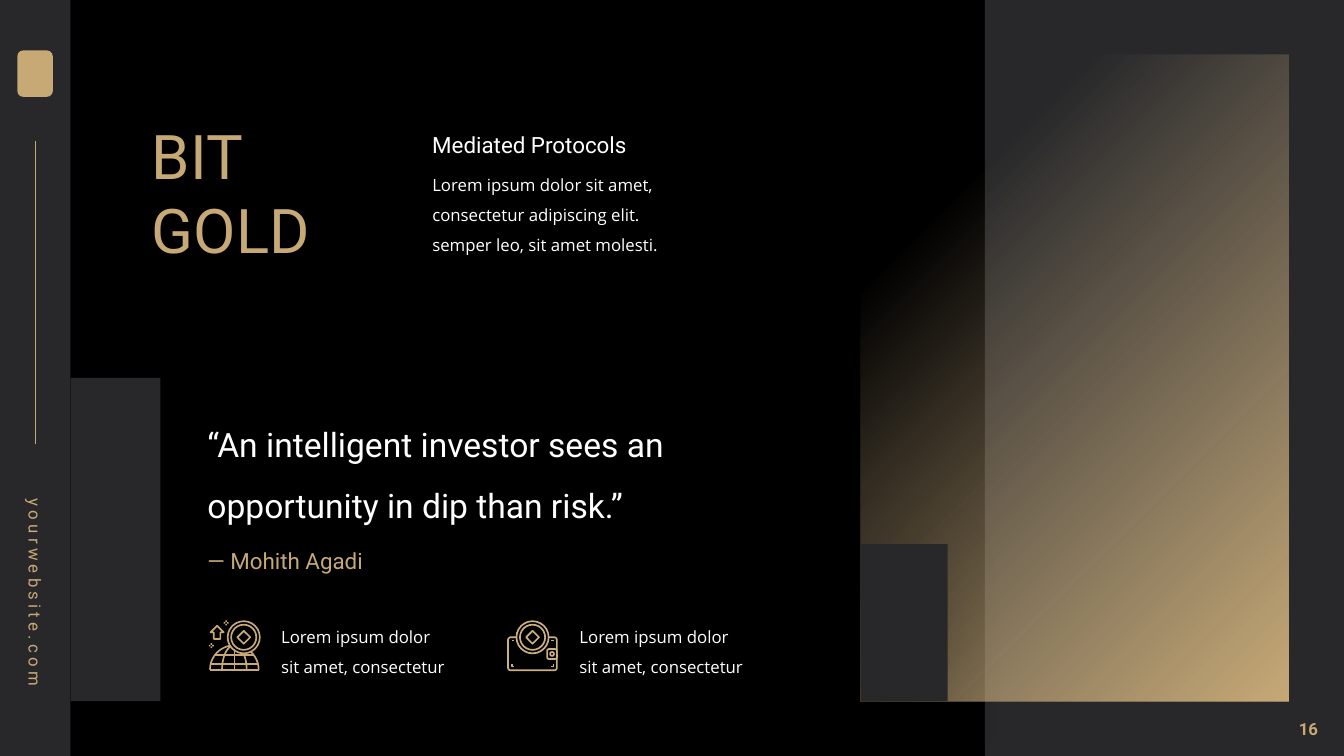
from math import cos, pi, sin, sqrt

from pptx import Presentation
from pptx.dml.color import RGBColor
from pptx.enum.shapes import MSO_CONNECTOR, MSO_SHAPE
from pptx.enum.text import MSO_ANCHOR, PP_ALIGN
from pptx.oxml import parse_xml
from pptx.oxml.ns import nsdecls, qn
from pptx.oxml.xmlchemy import OxmlElement
from pptx.util import Pt

GOLD = RGBColor(0xC7, 0xA9, 0x76)
WALLET_GOLD = RGBColor(0xCC, 0xB0, 0x82)
CHARCOAL = RGBColor(0x28, 0x28, 0x2A)
BLACK = RGBColor(0, 0, 0)
WHITE = RGBColor(0xFF, 0xFF, 0xFF)
RECTANGLE, ROUNDED = MSO_SHAPE.RECTANGLE, MSO_SHAPE.ROUNDED_RECTANGLE
OVAL, DIAMOND, UP_ARROW = MSO_SHAPE.OVAL, MSO_SHAPE.DIAMOND, MSO_SHAPE.UP_ARROW
STRAIGHT = MSO_CONNECTOR.STRAIGHT
LEFT, CENTER = PP_ALIGN.LEFT, PP_ALIGN.CENTER
TOP, MIDDLE = MSO_ANCHOR.TOP, MSO_ANCHOR.MIDDLE
STROKE = 1.2

deck = Presentation()
deck.slide_width, deck.slide_height = Pt(960), Pt(540)
page = deck.slides.add_slide(deck.slide_layouts[6])
page.background.fill.solid()
page.background.fill.fore_color.rgb = BLACK


def add_panel(kind, left, top, width, height, fill=None, line=None):
    panel = page.shapes.add_shape(kind, Pt(left), Pt(top), Pt(width), Pt(height))
    panel.shadow.inherit = False
    if fill is None:
        panel.fill.background()
    else:
        panel.fill.solid()
        panel.fill.fore_color.rgb = fill
    if line is None:
        panel.line.fill.background()
    else:
        panel.line.color.rgb = line
        panel.line.width = Pt(STROKE)
    return panel


def add_text(frame, paragraphs, size, color, font="Roboto", spacing=1.0,
             align=LEFT, anchor=TOP, bold=False):
    box = page.shapes.add_textbox(*[Pt(length) for length in frame])
    box.text_frame.word_wrap = True
    box.text_frame.vertical_anchor = anchor
    for index, lines in enumerate(paragraphs):
        para = box.text_frame.paragraphs[0] if index == 0 else box.text_frame.add_paragraph()
        para.line_spacing = spacing
        para.alignment = align
        for number, line in enumerate(lines):
            if number:
                para.add_line_break()
            span = para.add_run()
            span.text = line
            span.font.name = font
            span.font.size = Pt(size)
            span.font.bold = bold
            span.font.color.rgb = color
    return box


add_panel(RECTANGLE, 0, 0, 50.4, 540, CHARCOAL)
add_panel(ROUNDED, 12.4, 36, 25.4, 33.2, GOLD)
website = add_text((-59.8, 423.4, 169.9, 21.6), [["yourwebsite.com"]], 12, GOLD)
website.rotation = 90
website.text_frame.paragraphs[0].runs[0].font._element.set("spc", "300")

add_panel(RECTANGLE, 703.5, 0, 256.5, 540, CHARCOAL)
add_panel(RECTANGLE, 50.4, 270, 64.3, 230.8, CHARCOAL)
add_text((101.5, 80.6, 153.4, 113.8), [["BIT"], ["GOLD"]], 44, GOLD)
add_text((301.7, 113.8, 238.3, 70.6),
         [["Lorem ipsum dolor sit amet, consectetur adipiscing elit.",
           "semper leo, sit amet molesti."]], 12, WHITE, "Open Sans", 1.5)
add_text((301.7, 90, 197.3, 26.6), [["Mediated Protocols"]], 16, WHITE)
add_text((141.1, 285.1, 443.5, 88.6),
         [["“An intelligent investor sees an opportunity in dip than risk.”"]],
         24, WHITE, spacing=1.5)
add_text((141.1, 387.4, 156.2, 26.6), [["― Mohith Agadi"]], 16, GOLD)
for caption_left in (193.7, 406.8):
    add_text((caption_left, 437, 133.2, 48.2),
             [["Lorem ipsum dolor sit amet, consectetur"]],
             12, WHITE, "Open Sans", 1.5)

globe_x, globe_base, globe_radius = 167.4, 478.4, 17.4
straight_lines = [
    (25.2, 100.8, 25.2, 317.5, GOLD, 1),
    (globe_x, globe_base - globe_radius, globe_x, globe_base, GOLD, STROKE),
]
for rise in (0, 4.2, 10.6):
    half = sqrt(globe_radius ** 2 - rise ** 2)
    straight_lines.append((globe_x - half, globe_base - rise,
                           globe_x + half, globe_base - rise, GOLD, STROKE))

curves = []
for half_width in (globe_radius, 8.8):
    curves.append(([(globe_x + half_width * cos(pi * step / 24),
                     globe_base - globe_radius * sin(pi * step / 24))
                    for step in range(25)], GOLD))

add_panel(ROUNDED, 362.9, 455.2, 34.9, 23.6, line=WALLET_GOLD).adjustments[0] = 0.08
add_panel(ROUNDED, 390.8, 463.6, 7, 7.2, BLACK, WALLET_GOLD).adjustments[0] = 0.2
add_panel(OVAL, 392.9, 465.7, 2.8, 2.8, line=WALLET_GOLD)
for edge, inward in ((365.6, 1), (395.4, -1)):
    straight_lines.append((edge, 457.6, edge + 1.8 * inward, 457.6, WALLET_GOLD, STROKE))
    curves.append(([(edge, 474.4), (edge, 476.2), (edge + 1.8 * inward, 476.2)], WALLET_GOLD))

for x1, y1, x2, y2, color, weight in straight_lines:
    line = page.shapes.add_connector(STRAIGHT, Pt(x1), Pt(y1), Pt(x2), Pt(y2))
    line.line.color.rgb = color
    line.line.width = Pt(weight)
    line._element.spPr.append(OxmlElement("a:effectLst"))

for points, color in curves:
    corners = [(Pt(x), Pt(y)) for x, y in points]
    builder = page.shapes.build_freeform(*corners[0])
    builder.add_line_segments(corners[1:], close=False)
    curve = builder.convert_to_shape()
    curve.shadow.inherit = False
    curve.fill.background()
    curve.line.color.rgb = color
    curve.line.width = Pt(STROKE)

for coin_x, coin_y, color in ((174.1, 455.2, GOLD), (380.4, 455.2, WALLET_GOLD)):
    for kind, radius, fill in ((OVAL, 11.5, BLACK), (OVAL, 9, None), (DIAMOND, 4.6, None)):
        add_panel(kind, coin_x - radius, coin_y - radius, 2 * radius, 2 * radius, fill, color)

add_panel(UP_ARROW, 150.4, 447, 9.4, 9.4, line=GOLD)
for star_x, star_y in ((151, 461.2), (161.6, 445)):
    for dx, dy in ((0, -1.2), (0, 1.2), (-1.2, 0), (1.2, 0)):
        add_panel(RECTANGLE, star_x + dx - 0.6, star_y + dy - 0.6, 1.2, 1.2, GOLD)

glow = add_panel(RECTANGLE, 615.1, 38.9, 304.9, 462.2, GOLD)
glow_properties = glow._element.spPr
glow_properties.replace(glow_properties.find(qn("a:solidFill")), parse_xml(
    f'<a:gradFill {nsdecls("a")} rotWithShape="1"><a:gsLst>'
    '<a:gs pos="0"><a:srgbClr val="C7A976"/></a:gs>'
    '<a:gs pos="78000"><a:srgbClr val="D0B78D"><a:alpha val="0"/></a:srgbClr></a:gs>'
    '</a:gsLst><a:path path="circle"><a:fillToRect l="100000" t="100000"/></a:path>'
    '</a:gradFill>'))

corner = add_panel(RECTANGLE, 615.1, 388.6, 61.9, 112.2, CHARCOAL)
corner._element.spPr.find(qn("a:effectLst")).append(parse_xml(
    f'<a:outerShdw {nsdecls("a")} blurRad="{Pt(60)}" dist="{Pt(24)}" dir="8100000">'
    '<a:srgbClr val="000000"><a:alpha val="25000"/></a:srgbClr></a:outerShdw>'))

add_text((909.4, 506.2, 50.4, 28.8), [["16"]], 12, GOLD,
         align=CENTER, anchor=MIDDLE, bold=True)

deck.save("out.pptx")
